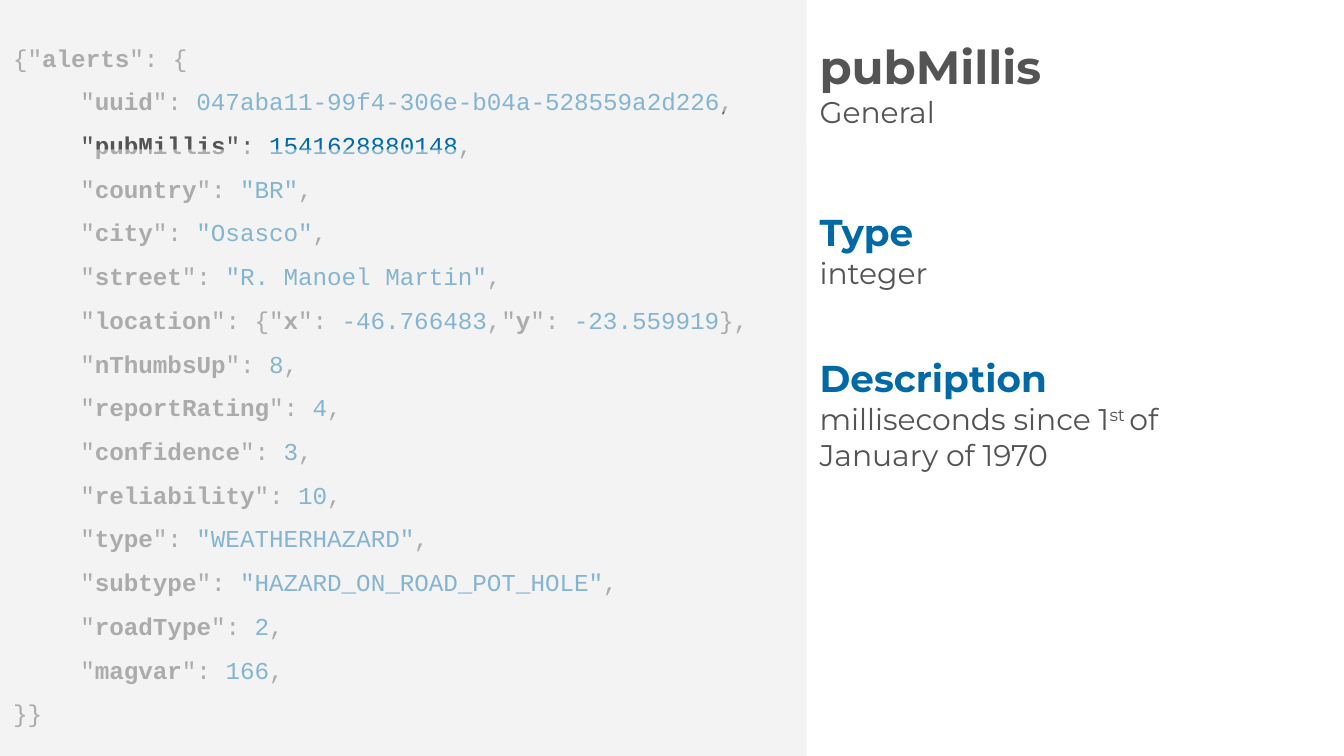
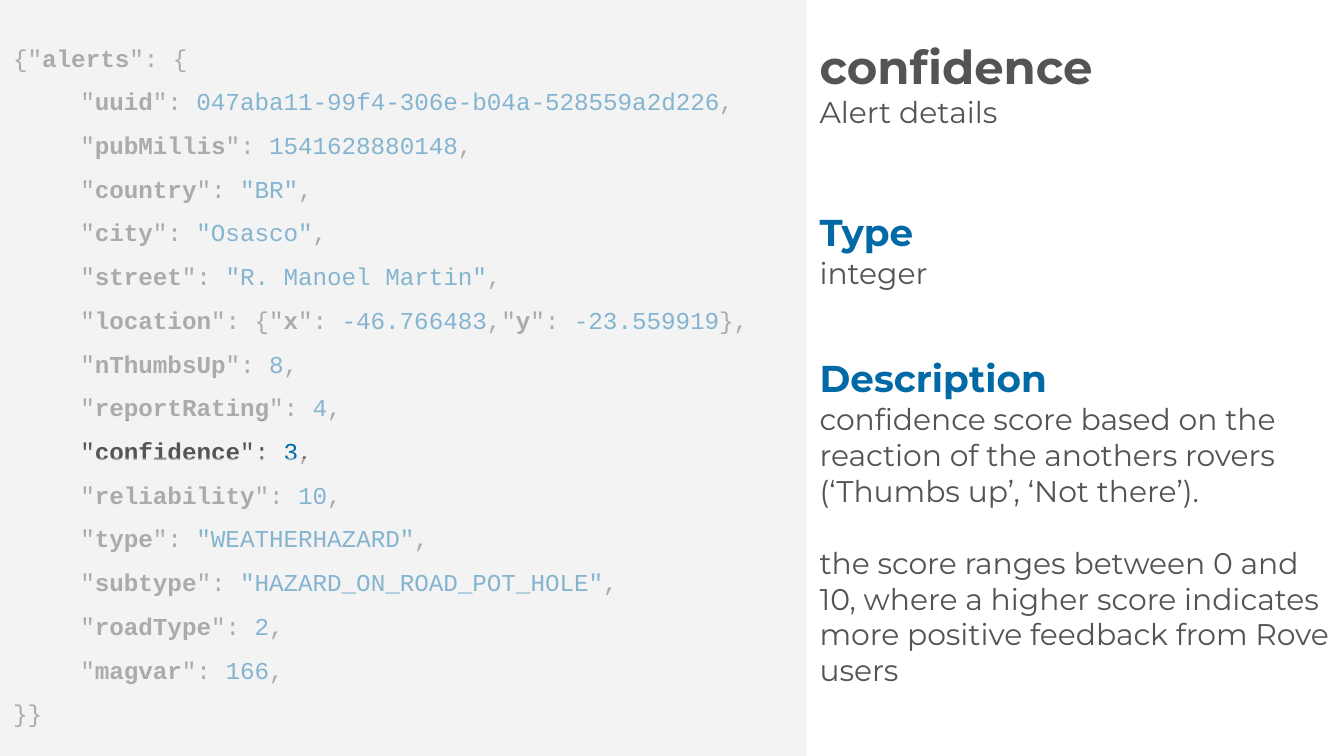
from lxml import etree
from pptx import Presentation
from pptx import util as u
from pptx.dml import color
from pptx.enum import shapes, text
from pptx.oxml import ns

GREY, DARK, BLUE = "F3F3F3", "545454", "0069A6"
CODE_FONT, TEXT_FONT = "Courier New", "Montserrat"
SPLIT = 432  # left edge of the explanation column
VEIL_HEIGHT, GAP_HEIGHT = 363.6, 20.2

# In code lines, *...* is bold and `...` is blue.
FIELDS = [
    ("uuid", "047aba11-99f4-306e-b04a-528559a2d226"),
    ("pubMillis", "1541628880148"),
    ("country", '"BR"'),
    ("city", '"Osasco"'),
    ("street", '"R. Manoel Martin"'),
    ("location", None),
    ("nThumbsUp", "8"),
    ("reportRating", "4"),
    ("confidence", "3"),
    ("reliability", "10"),
    ("type", '"WEATHERHAZARD"'),
    ("subtype", '"HAZARD_ON_ROAD_POT_HOLE"'),
    ("roadType", "2"),
    ("magvar", "166"),
]
LOCATION = '"*location*": {"*x*": `-46.766483`,"*y*": `-23.559919`},'


def rgb(value):
    return color.RGBColor.from_string(value)


class FieldDeck:
    def __init__(self):
        self.deck = Presentation()
        self.deck.slide_width, self.deck.slide_height = u.Pt(720), u.Pt(405)
        self.page = None

    def new_page(self):
        self.page = self.deck.slides.add_slide(self.deck.slide_layouts[6])

    def panel(self, top, height, opacity=None):
        """Grey block over the code column; opacity is a percentage."""
        box = self.page.shapes.add_shape(
            shapes.MSO_SHAPE.RECTANGLE, u.Pt(0), u.Pt(top), u.Pt(SPLIT), u.Pt(height))
        box.shadow.inherit = False
        box.fill.solid()
        box.fill.fore_color.rgb = rgb(GREY)
        box.line.fill.background()
        if opacity is not None:
            tint = box.fill._xPr.find(".//" + ns.qn("a:srgbClr"))
            etree.SubElement(tint, ns.qn("a:alpha")).set("val", str(opacity * 1000))
        return box

    def frame(self, box, anchor):
        frame = box.text_frame
        frame.word_wrap = True
        frame.vertical_anchor = anchor
        frame.margin_left = frame.margin_right = u.Pt(7.2)
        frame.margin_top = frame.margin_bottom = u.Pt(7.2)
        return frame

    def paragraph(self, frame, first):
        para = frame.paragraphs[0] if first else frame.add_paragraph()
        para.alignment = text.PP_ALIGN.LEFT
        return para

    def span(self, para, words, size, tone=DARK, bold=False, font=TEXT_FONT):
        span = para.add_run()
        span.text = words
        span.font.name, span.font.size, span.font.bold = font, u.Pt(size), bold
        span.font.color.rgb = rgb(tone)
        return span

    def code_line(self, para, line, indent):
        para._p.get_or_add_pPr().set("marL", str(u.Pt(indent)))
        para.line_spacing = 1.5
        for i, piece in enumerate(line.split("*")):
            for j, words in enumerate(piece.split("`")):
                if words:
                    self.span(para, words, 13, BLUE if j % 2 else DARK, i % 2 == 1, CODE_FONT)

    def code(self):
        frame = self.frame(self.panel(0, 405), text.MSO_ANCHOR.MIDDLE)
        self.code_line(self.paragraph(frame, True), '{"*alerts*": {', 0)
        for key, value in FIELDS:
            line = LOCATION if value is None else f'"*{key}*": `{value}`,'
            self.code_line(self.paragraph(frame, False), line, 36)
        self.code_line(self.paragraph(frame, False), "}}", 0)

    def spotlight(self, top):
        """Fade the code above and below one line."""
        self.panel(top - VEIL_HEIGHT, VEIL_HEIGHT, 55)
        self.panel(top + GAP_HEIGHT, VEIL_HEIGHT, 55)

    def text_box(self, top, width, height, anchor=text.MSO_ANCHOR.TOP):
        box = self.page.shapes.add_textbox(u.Pt(SPLIT), u.Pt(top), u.Pt(width), u.Pt(height))
        return self.frame(box, anchor)

    def title(self, name, group):
        frame = self.text_box(11.5, 288, 66.2, text.MSO_ANCHOR.MIDDLE)
        self.span(self.paragraph(frame, True), name, 25, bold=True)
        self.span(self.paragraph(frame, False), group, 16)

    def heading(self, top, words):
        frame = self.text_box(top, 139, 36)
        self.span(self.paragraph(frame, True), words, 20, BLUE, True)

    def body(self, top, paragraphs, width=259.2, height=62.6):
        """Each paragraph is a list of runs; every second run is superscript."""
        frame = self.text_box(top, width, height)
        for i, runs in enumerate(paragraphs):
            para = self.paragraph(frame, i == 0)
            if i:
                para.space_before = u.Pt(19.5)
            for j, words in enumerate(runs):
                span = self.span(para, words, 16)
                if j % 2:
                    span._r.get_or_add_rPr().set("baseline", "30000")

    def field_page(self, name, group, kind, description, gap_top, **size):
        self.new_page()
        self.code()
        self.spotlight(gap_top)
        self.title(name, group)
        self.heading(105.1, "Type")
        self.body(129, [[kind]])
        self.heading(183, "Description")
        self.body(207.4, description, **size)


def main():
    fields = FieldDeck()
    fields.field_page(
        "pubMillis", "General", "integer",
        [["milliseconds since 1", "st ", "of January of 1970"]], 59.8)
    fields.field_page(
        "confidence", "Alert details", "integer",
        [["confidence score based on the reaction of the anothers rovers "
          "(‘Thumbs up’, ‘Not there’)."],
         ["the score ranges between 0 and 10, where a higher score indicates "
          "more positive feedback from Rove users"]],
        225.4, width=288, height=170)
    fields.deck.save("out.pptx")


if __name__ == "__main__":
    main()
